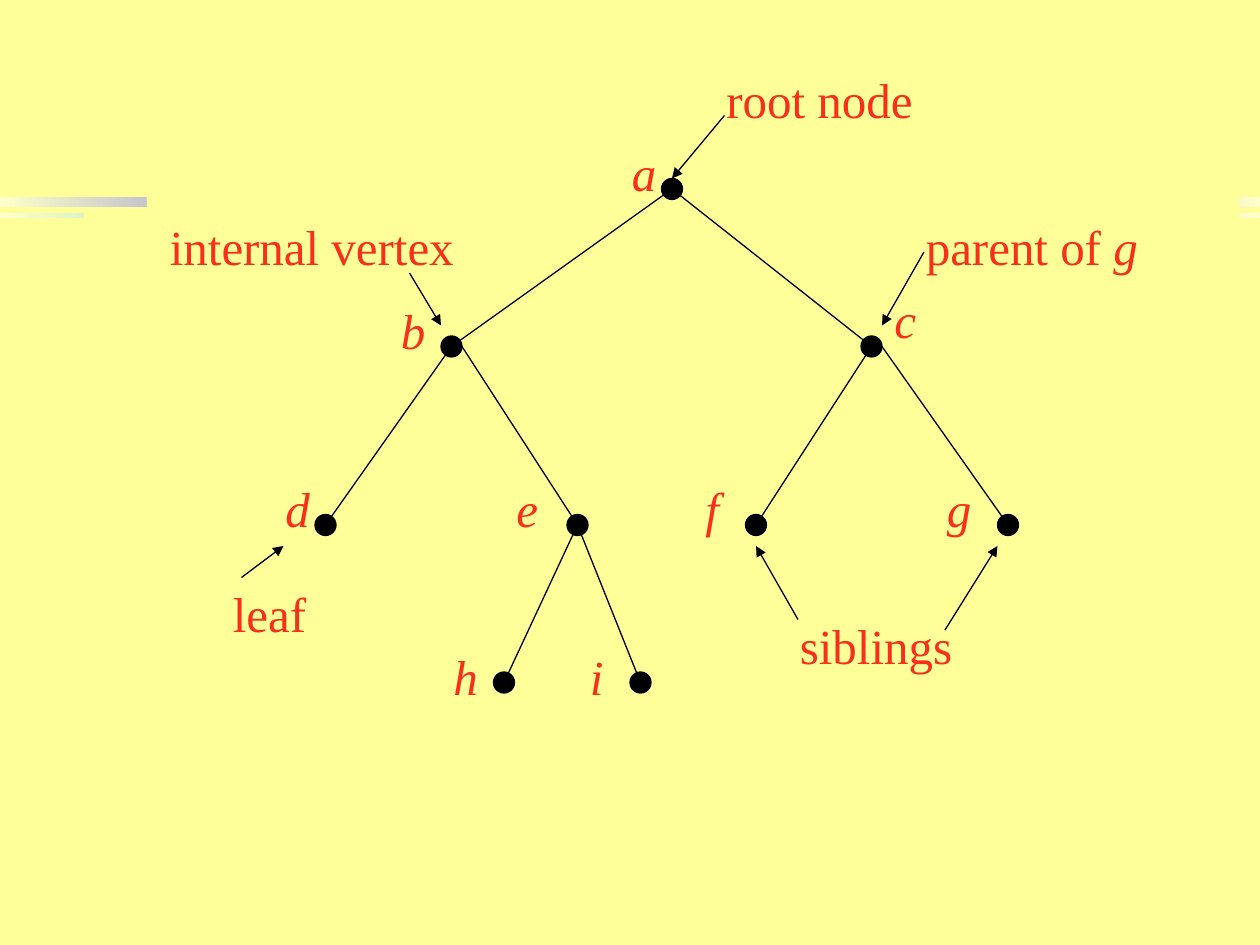
"""Build a slide that names the parts of a rooted tree."""
import copy
from dataclasses import dataclass

import lxml.etree
import pptx
import pptx.dml.color
import pptx.enum.shapes
import pptx.enum.text
import pptx.oxml.ns
import pptx.util

HUES = {"page": "FFFF99", "ink": "000000", "text": "F82F1A",
        "pale": "FFFFCC", "blue": "0000CC", "teal": "009999"}
FONT = "Times New Roman"
RECT = pptx.enum.shapes.MSO_SHAPE.RECTANGLE
OVAL = pptx.enum.shapes.MSO_SHAPE.OVAL


@dataclass
class Node:
    name: str
    x: float
    y: float
    left: float
    top: float


@dataclass
class Edge:
    child: str
    parent: str
    shift: float = 0


@dataclass
class Note:
    plain: str
    slant: str
    left: float
    top: float
    width: float
    arrows: list


NODES = [
    Node("a", 64, 18, 59, 13), Node("b", 43, 33, 37, 28),
    Node("c", 83, 33, 84, 27), Node("d", 31, 50, 26, 45),
    Node("e", 55, 50, 48, 45), Node("f", 72, 50, 66, 45),
    Node("g", 96, 50, 89, 45), Node("h", 48, 65, 42, 61),
    Node("i", 61, 65, 55, 61),
]
EDGES = [
    Edge("b", "a"), Edge("c", "a"), Edge("d", "b"), Edge("e", "b", 1),
    Edge("f", "c"), Edge("g", "c", 1), Edge("h", "e"), Edge("i", "e"),
]
NOTES = [
    Note("root node", "", 68, 6, 23, [(69, 11, 64, 17)]),
    Note("parent of ", "g", 87, 20, 24, [(88, 24, 84, 31)]),
    Note("siblings", "", 75, 58, 22, [(76, 59, 72, 52), (90, 60, 95, 52)]),
    Note("leaf", "", 21, 55, 11, [(23, 55, 27, 52)]),
    Note("internal vertex", "", 15, 20, 32, [(39, 26, 42, 31)]),
]


def unit(count: float) -> int:
    """Turn grid steps, twelve to the inch, into a length."""
    return pptx.util.Cm(count * 2.54 / 12)


def tint(name: str) -> pptx.dml.color.RGBColor:
    """Look up a colour."""
    return pptx.dml.color.RGBColor.from_string(HUES[name])


def draw_shape(slide, kind, left: float, top: float, width: float,
               height: float, hue: str):
    """Draw a plain filled shape."""
    shape = slide.shapes.add_shape(
        kind, unit(left), unit(top), unit(width), unit(height))
    shape.shadow.inherit = False
    shape.fill.solid()
    shape.fill.fore_color.rgb = tint(hue)
    shape.line.fill.background()
    return shape


def draw_band(slide, top: float, height: float, hue: str) -> None:
    """Draw a full-width stripe that fades at both ends."""
    band = draw_shape(slide, RECT, 0, top, 120, height, hue)
    band.fill.gradient()
    band.fill.gradient_angle = 0
    stops = band.fill.gradient_stops
    first = band._element.spPr.find(".//" + pptx.oxml.ns.qn("a:gs"))
    first.addnext(copy.deepcopy(first))
    stops = band.fill.gradient_stops
    for stop, place, name in zip(stops, (0, 0.5, 1), ("pale", hue, "pale")):
        stop.position = place
        stop.color.rgb = tint(name)


def draw_line(slide, x1: float, y1: float, x2: float, y2: float,
              arrow: bool = False) -> None:
    """Draw a thin line, with an arrowhead at its end if asked."""
    line = slide.shapes.add_connector(
        pptx.enum.shapes.MSO_CONNECTOR.STRAIGHT,
        unit(x1), unit(y1), unit(x2), unit(y2))
    line.line.color.rgb = tint("ink")
    line.line.width = pptx.util.Pt(0.75)
    props = line._element.spPr
    if arrow:
        lxml.etree.SubElement(props.find(pptx.oxml.ns.qn("a:ln")),
                              pptx.oxml.ns.qn("a:tailEnd"), type="triangle")
    lxml.etree.SubElement(props, pptx.oxml.ns.qn("a:effectLst"))


def draw_text(slide, plain: str, slant: str, left: float, top: float,
              width: float) -> None:
    """Write a label whose second part is italic."""
    box = slide.shapes.add_textbox(
        unit(left), unit(top), unit(width), unit(6.84))
    frame = box.text_frame
    frame.word_wrap = True
    frame.auto_size = pptx.enum.text.MSO_AUTO_SIZE.SHAPE_TO_FIT_TEXT
    for part, italic in ((plain, False), (slant, True)):
        if part:
            run = frame.paragraphs[0].add_run()
            run.text = part
            run.font.name = FONT
            run.font.size = pptx.util.Pt(28)
            run.font.italic = italic
            run.font.color.rgb = tint("text")


def draw_node(slide, node: Node) -> None:
    """Draw a dot and its letter."""
    dot = draw_shape(slide, OVAL, node.x - 1, node.y - 1, 2, 2, "ink")
    dot.line.color.rgb = tint("ink")
    dot.line.width = pptx.util.Pt(0.75)
    draw_text(slide, "", node.name, node.left, node.top, 5)


def draw_note(slide, note: Note) -> None:
    """Draw a remark and its arrows."""
    draw_text(slide, note.plain, note.slant, note.left, note.top, note.width)
    for ends in note.arrows:
        draw_line(slide, *ends, arrow=True)


def main() -> None:
    """Build and save the slide."""
    deck = pptx.Presentation()
    deck.slide_width, deck.slide_height = unit(120), unit(90)
    slide = deck.slides.add_slide(deck.slide_layouts[6])
    slide.background.fill.solid()
    slide.background.fill.fore_color.rgb = tint("page")
    draw_band(slide, 18.75, 1, "blue")
    draw_band(slide, 20.25, 0.5, "teal")
    draw_shape(slide, RECT, 14, 4, 104, 82, "page")
    draw_shape(slide, RECT, 8, 20, 6, 5, "page")
    for node in NODES:
        draw_node(slide, node)
    spots = {node.name: node for node in NODES}
    for edge in EDGES:
        low, high = spots[edge.child], spots[edge.parent]
        draw_line(slide, low.x, low.y, high.x + edge.shift, high.y)
    for note in NOTES:
        draw_note(slide, note)
    deck.save("out.pptx")


if __name__ == "__main__":
    main()
